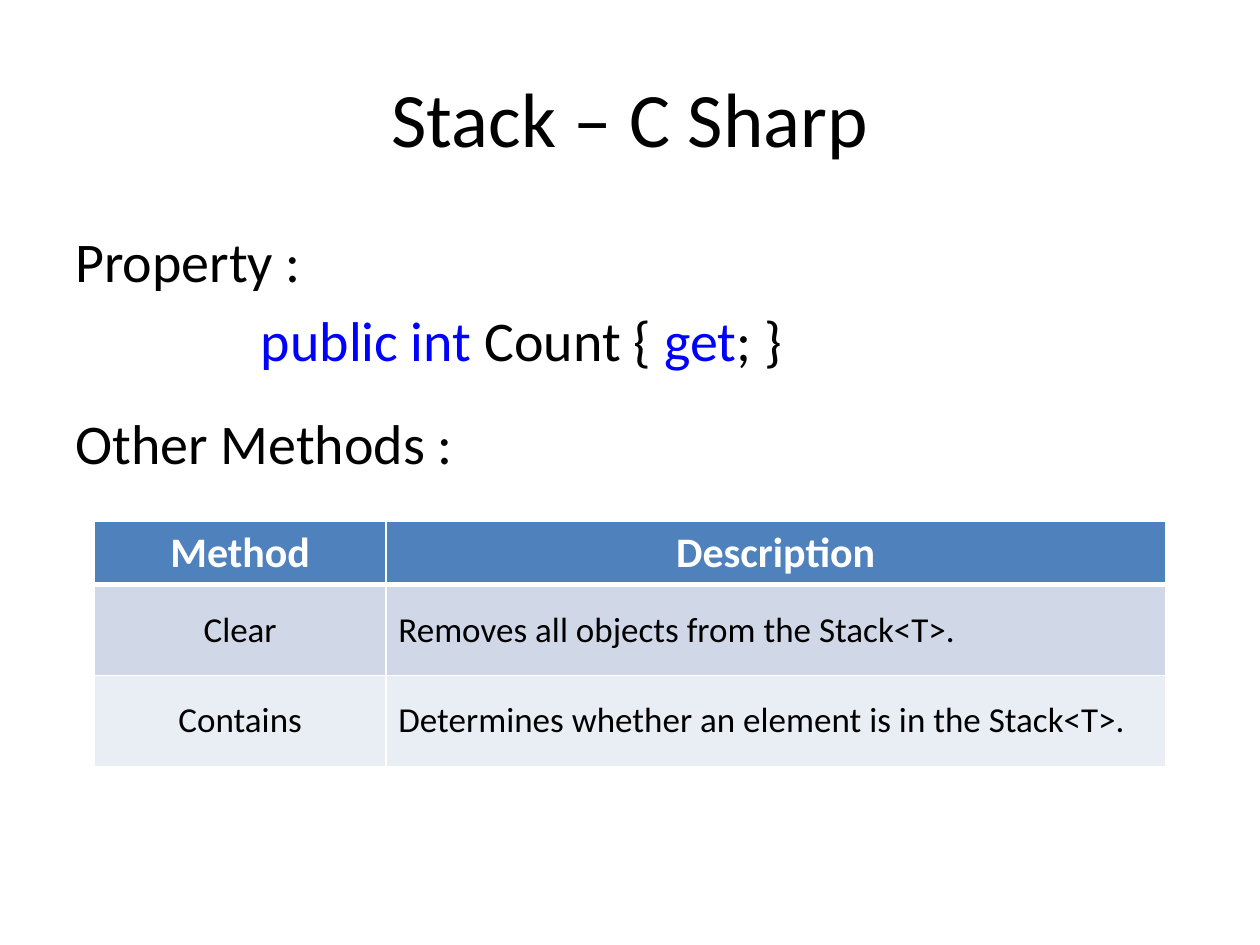
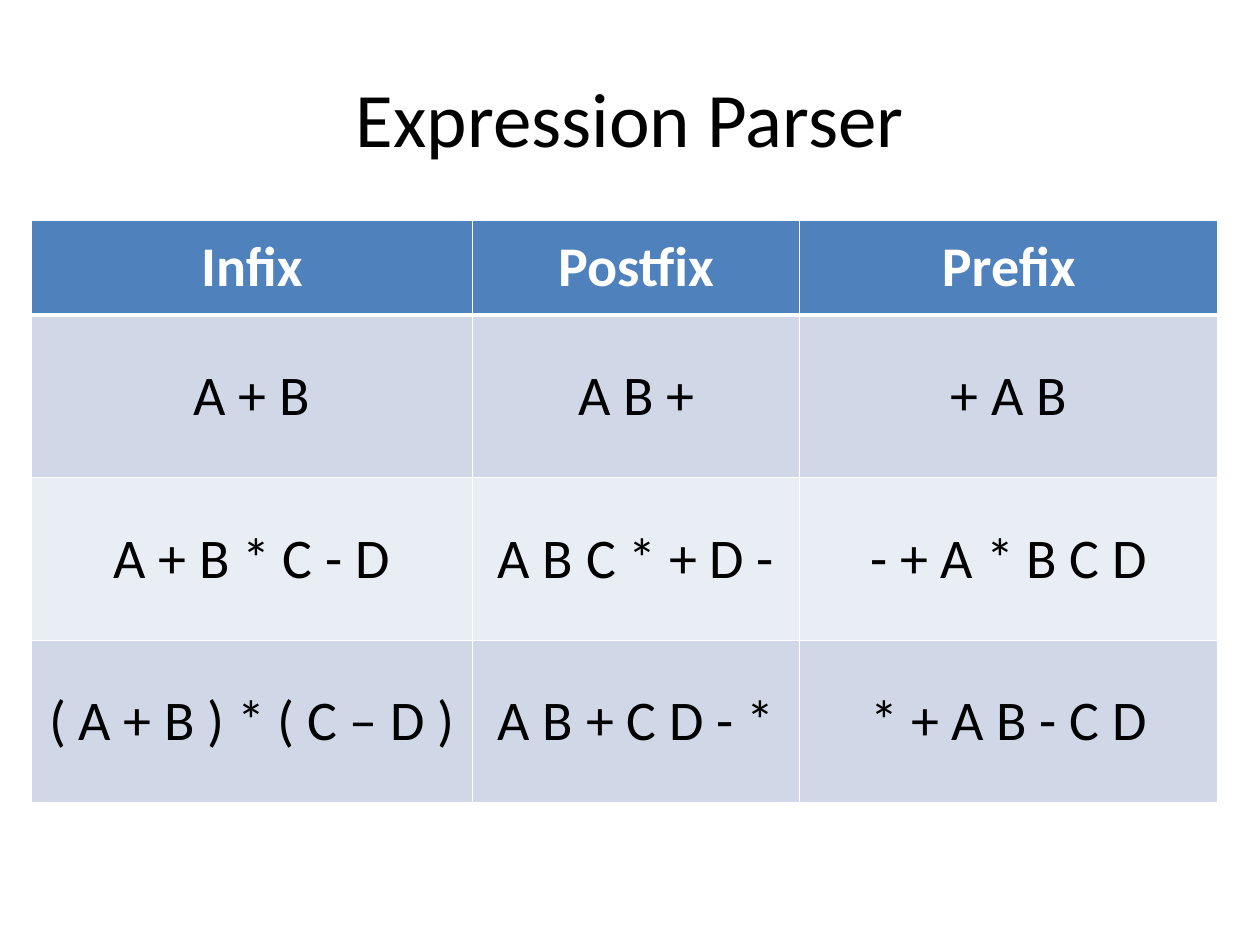
from lxml import etree
from pptx import Presentation
from pptx.dml.color import RGBColor
from pptx.enum import text
from pptx.oxml import ns
from pptx.util import Pt

# Shared style
FONT = "Calibri"
BLACK, WHITE = RGBColor(0, 0, 0), RGBColor(255, 255, 255)
KEYWORD = RGBColor(0, 0, 255)
HEADER = RGBColor(0x4F, 0x81, 0xBD)
BANDS = [RGBColor(0xD0, 0xD8, 0xE8), RGBColor(0xE9, 0xED, 0xF4)]
CENTER, LEFT = text.PP_ALIGN.CENTER, text.PP_ALIGN.LEFT
MIDDLE, TOP = text.MSO_ANCHOR.MIDDLE, text.MSO_ANCHOR.TOP
TITLE_BOX = (36, 21.6, 648, 90)
BODY_BOX = (36, 126, 648, 356.4)

# Content: body lines are (space before, indent, runs)
BODY = [
    (0, 0, [("Property :", BLACK)]),
    (6.4, 106, [("public int", KEYWORD), (" Count { ", BLACK),
                ("get", KEYWORD), ("; }", BLACK)]),
    (20.6, 0, [("Other Methods :", BLACK)]),
]
METHODS = {
    "rows": [("Method", "Description"),
             ("Clear", "Removes all objects from the Stack<T>."),
             ("Contains", "Determines whether an element is in the Stack<T>.")],
    "at": (54, 298), "columns": (166.5, 445.5), "heights": (36, 52),
    "sizes": (24, 20), "aligns": (CENTER, LEFT), "header_anchor": TOP,
}
NOTATIONS = {
    "rows": [("Infix", "Postfix", "Prefix"),
             ("A + B", "A B +", "+ A B"),
             ("A + B * C - D", "A B C * + D -", "- + A * B C D"),
             ("( A + B ) * ( C – D )", "A B + C D - *", "* + A B - C D")],
    "at": (18, 126), "columns": (252, 187, 239), "heights": (54, 93),
    "sizes": (32, 32), "aligns": (CENTER,) * 3, "header_anchor": MIDDLE,
}
SLIDES = [("Stack – C Sharp", BODY, METHODS),
          ("Expression Parser", [], NOTATIONS)]


def add_run(paragraph, words, size, color, bold=False):
    run = paragraph.add_run()
    run.text = words
    for key, value in {"name": FONT, "size": Pt(size), "bold": bold}.items():
        setattr(run.font, key, value)
    run.font.color.rgb = color


def add_title(slide, words):
    title = slide.shapes.title
    for key, value in zip(("left", "top", "width", "height"), TITLE_BOX):
        setattr(title, key, Pt(value))
    title.text_frame.vertical_anchor = MIDDLE
    paragraph = title.text_frame.paragraphs[0]
    paragraph.alignment = CENTER
    add_run(paragraph, words, 44, BLACK)


def add_body(slide, lines):
    frame = slide.shapes.add_textbox(*map(Pt, BODY_BOX)).text_frame
    frame.word_wrap = True
    for i, (before, indent, runs) in enumerate(lines):
        paragraph = frame.add_paragraph() if i else frame.paragraphs[0]
        paragraph.space_before = Pt(before)
        paragraph._p.get_or_add_pPr().set("marL", str(Pt(indent)))
        for words, color in runs:
            add_run(paragraph, words, 32, color)


def set_borders(cell, row):
    # White grid, with a thicker rule under the header
    widths = {"L": 1, "R": 1, "T": 3 if row == 1 else 1, "B": 3 if row == 0 else 1}
    for i, (side, width) in enumerate(widths.items()):
        line = etree.Element(ns.qn("a:ln" + side), w=str(Pt(width)))
        fill = etree.SubElement(line, ns.qn("a:solidFill"))
        etree.SubElement(fill, ns.qn("a:srgbClr"), val=str(WHITE))
        cell._tc.get_or_add_tcPr().insert(i, line)


def add_grid(slide, grid):
    rows, columns = grid["rows"], grid["columns"]
    first, other = grid["heights"]
    heights = [first] + [other] * (len(rows) - 1)
    table = slide.shapes.add_table(
        len(rows), len(columns), *map(Pt, grid["at"]),
        Pt(sum(columns)), Pt(sum(heights))).table
    for column, width in zip(table.columns, columns):
        column.width = Pt(width)
    for r, entries in enumerate(rows):
        table.rows[r].height = Pt(heights[r])
        head = r == 0
        for c, words in enumerate(entries):
            cell = table.cell(r, c)
            cell.fill.solid()
            cell.fill.fore_color.rgb = HEADER if head else BANDS[(r - 1) % 2]
            cell.vertical_anchor = grid["header_anchor"] if head else MIDDLE
            paragraph = cell.text_frame.paragraphs[0]
            paragraph.alignment = CENTER if head else grid["aligns"][c]
            add_run(paragraph, words, grid["sizes"][0 if head else 1],
                    WHITE if head else BLACK, head)
            set_borders(cell, r)


# Build the slides
deck = Presentation()
deck.slide_width, deck.slide_height = Pt(720), Pt(540)
for heading, lines, grid in SLIDES:
    slide = deck.slides.add_slide(deck.slide_layouts[5])
    add_title(slide, heading)
    if lines:
        add_body(slide, lines)
    add_grid(slide, grid)
deck.save("out.pptx")
